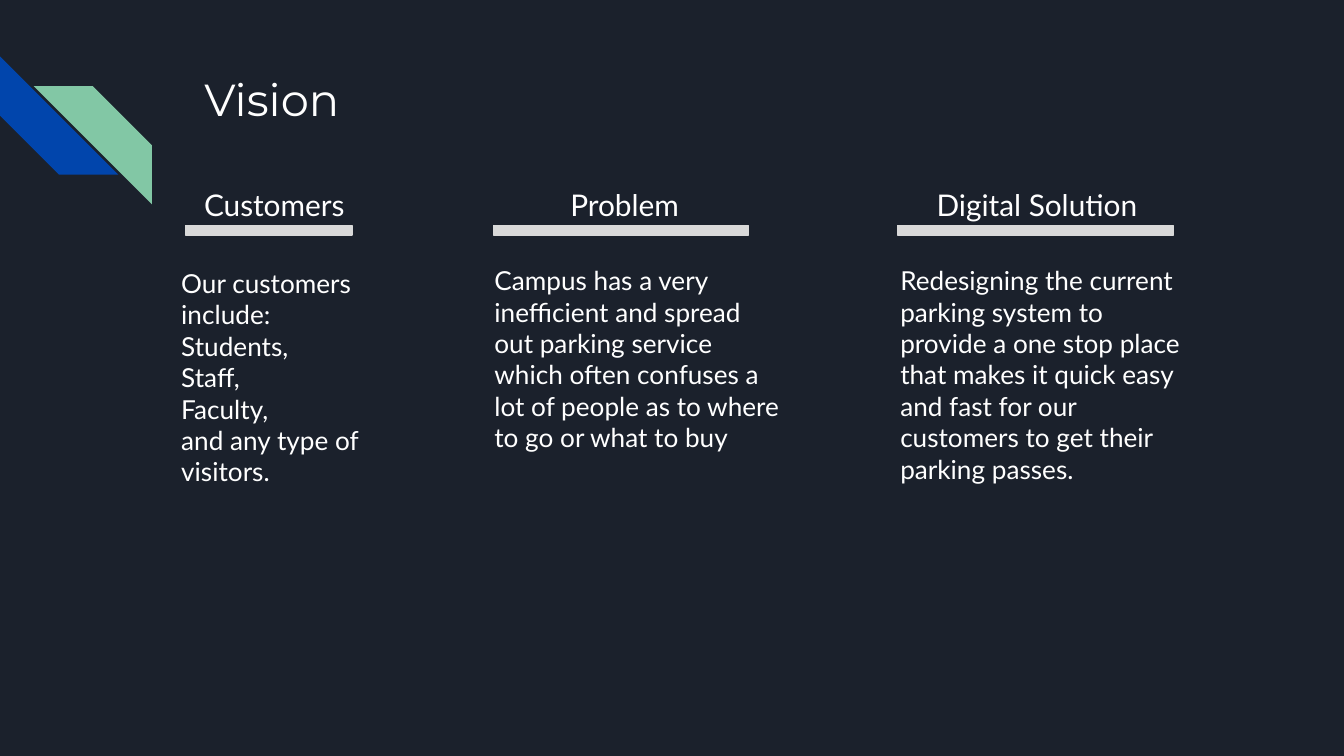
import pptx
import pptx.util
import pptx.dml.color
import pptx.enum.shapes
import pptx.enum.text

Inches = pptx.util.Inches
WHITE, RULE_GREY = "FFFFFF", "D9D9D9"


def colour(hex_string):
    return pptx.dml.color.RGBColor.from_string(hex_string)


def write(shape, box, paragraphs, size, font):
    """Place a text shape and fill it with top-left aligned paragraphs."""
    shape.left, shape.top, shape.width, shape.height = map(Inches, box)
    frame = shape.text_frame
    frame.word_wrap = True
    frame.auto_size = pptx.enum.text.MSO_AUTO_SIZE.NONE
    frame.vertical_anchor = pptx.enum.text.MSO_ANCHOR.TOP
    frame.margin_left = frame.margin_right = Inches(0.1)
    frame.margin_top = frame.margin_bottom = Inches(0.1)
    for index, text in enumerate(paragraphs):
        paragraph = frame.add_paragraph() if index else frame.paragraphs[0]
        paragraph.alignment = pptx.enum.text.PP_ALIGN.LEFT
        run = paragraph.add_run()
        run.text = text
        run.font.size = pptx.util.Pt(size)
        run.font.name = font
        run.font.color.rgb = colour(WHITE)


def add_text(slide, box, paragraphs, size):
    write(slide.shapes.add_textbox(*map(Inches, box)), box, paragraphs, size, "Lato")


def add_filled(slide, preset, box, fill):
    shape = slide.shapes.add_shape(preset, *map(Inches, box))
    shape.shadow.inherit = False
    shape.fill.solid()
    shape.fill.fore_color.rgb = colour(fill)
    shape.line.fill.background()
    return shape


def add_stripes(slide, left, top):
    """Two diagonal corner stripes, the second offset from the first."""
    stripe_size = 0.88
    for dx, dy, rotation, fill in ((0, 0, 270, "0145AC"), (0.25, 0.22, 90, "82C7A5")):
        box = (left + dx, top + dy, stripe_size, stripe_size)
        stripe = add_filled(slide, pptx.enum.shapes.MSO_SHAPE.DIAGONAL_STRIPE, box, fill)
        stripe.adjustments[0] = 0.5
        stripe.rotation = rotation


def add_column(slide, heading, heading_left, body, body_box, rule_left, rule_width):
    """Heading, body text and the rule between them."""
    heading_top = 1.29
    add_text(slide, (heading_left, heading_top, 1.71, 0.46), [heading], 16)
    add_text(slide, body_box, body, 14)
    rule_box = (rule_left, heading_top + 0.39, rule_width, 0.07)
    rule = add_filled(slide, pptx.enum.shapes.MSO_SHAPE.RECTANGLE, rule_box, RULE_GREY)
    rule.line.color.rgb = colour(RULE_GREY)
    rule.line.width = pptx.util.Pt(0.75)


COLUMNS = [
    ("Customers",
     ["Our customers include:", "Students,", "Staff,", "Faculty,",
      "and any type of visitors."],
     (1.25, 1.89, 2.05, 2.53), 1.38, 1.24),
    ("Problem",
     ["Campus has a very inefficient and spread out parking service which often "
      "confuses a lot of people as to where to go or what to buy"],
     (3.58, 1.87, 2.32, 2.56), 3.67, 1.9),
    ("Digital Solution",
     ["Redesigning the current parking system to provide a one stop place that "
      "makes it quick easy and fast for our customers to get their parking passes."],
     (6.6, 1.87, 2.32, 2.53), 6.68, 2.05),
]


def main():
    deck = pptx.Presentation()
    # Widescreen, 16:9
    deck.slide_width, deck.slide_height = Inches(10), Inches(10 * 9 / 16)
    slide = deck.slides.add_slide(deck.slide_layouts[5])
    slide.background.fill.solid()
    slide.background.fill.fore_color.rgb = colour("1B212C")

    # Corner decoration and title
    add_stripes(slide, 0, 0.42)
    write(slide.shapes.title, (1.42, 0.43, 4.15, 1.63), ["Vision"], 24, "Montserrat")

    # Three columns with evenly spaced headings
    first_heading, last_heading = 1.42, 6.87
    heading_pitch = (last_heading - first_heading) / (len(COLUMNS) - 1)
    for index, (heading, body, body_box, rule_left, rule_width) in enumerate(COLUMNS):
        heading_left = first_heading + index * heading_pitch
        add_column(slide, heading, heading_left, body, body_box, rule_left, rule_width)

    deck.save("out.pptx")


if __name__ == "__main__":
    main()
